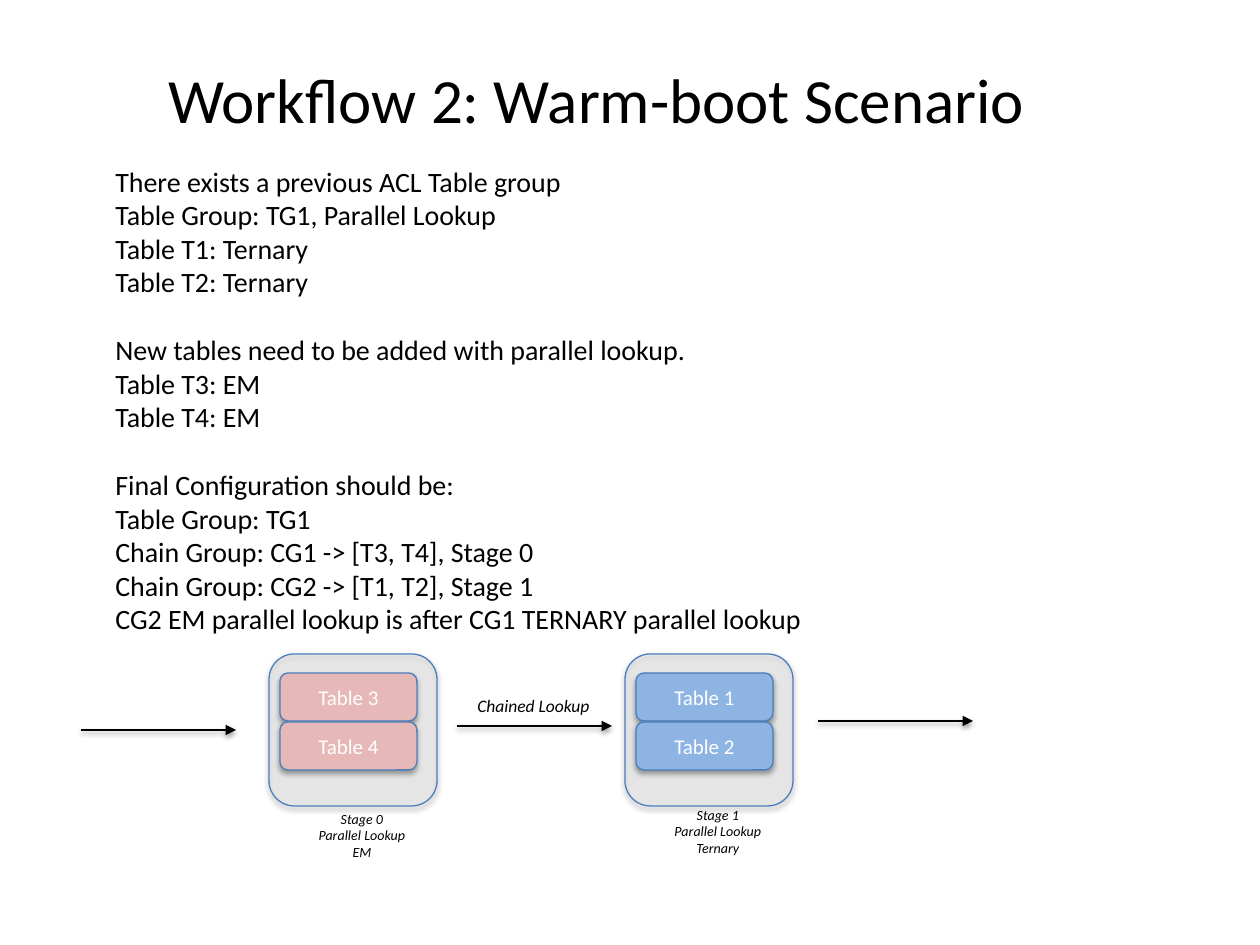
from lxml import etree
from pptx import Presentation
from pptx.dml.color import RGBColor
from pptx.enum.shapes import MSO_CONNECTOR, MSO_SHAPE
from pptx.enum.text import MSO_ANCHOR, PP_ALIGN
from pptx.oxml.ns import qn
from pptx.util import Emu, Pt

PX = 914400 // 126
LEFT, CENTER = PP_ALIGN.LEFT, PP_ALIGN.CENTER
MIDDLE = MSO_ANCHOR.MIDDLE
ROUNDED, STRAIGHT = MSO_SHAPE.ROUNDED_RECTANGLE, MSO_CONNECTOR.STRAIGHT
COLORS = {
    "black": "000000", "white": "FFFFFF", "outline": "4B7EBC",
    "stage": "D9D9D9", "exact": "E6B9B8", "ternary": "8EB4E3",
}


def write(shape, lines, size, color="black", align=LEFT, italic=False, gap_before=()):
    frame = shape.text_frame
    frame.word_wrap = True
    for i, line in enumerate(lines):
        paragraph = frame.paragraphs[0] if i == 0 else frame.add_paragraph()
        paragraph.alignment = align
        if i in gap_before:
            paragraph.space_before = Pt(19.5)
        run = paragraph.add_run()
        run.text = line
        run.font.size = Pt(size)
        run.font.name = "Calibri"
        run.font.italic = italic
        run.font.color.rgb = RGBColor.from_string(COLORS[color])


def add_shadow(shape, opacity, distance):
    properties = shape._element.spPr
    for old in properties.findall(qn("a:effectLst")):
        properties.remove(old)
    effects = etree.SubElement(properties, qn("a:effectLst"))
    shadow = etree.SubElement(effects, qn("a:outerShdw"), blurRad=str(Pt(3.1)),
                              dist=str(Pt(distance)), dir="5400000", rotWithShape="0")
    color = etree.SubElement(shadow, qn("a:srgbClr"), val=COLORS["black"])
    etree.SubElement(color, qn("a:alpha"), val=str(opacity * 1000))


prs = Presentation()
prs.slide_width, prs.slide_height = Emu(1260 * PX), Emu(945 * PX)
slide = prs.slides.add_slide(prs.slide_layouts[6])
shapes = slide.shapes

scenario = [
    "There exists a previous ACL Table group",
    "Table Group: TG1, Parallel Lookup",
    "Table T1: Ternary",
    "Table T2: Ternary",
    "New tables need to be added with parallel lookup.",
    "Table T3: EM",
    "Table T4: EM",
    "Final Configuration should be:",
    "Table Group: TG1",
    "Chain Group: CG1 -> [T3, T4], Stage 0",
    "Chain Group: CG2 -> [T1, T2], Stage 1",
    "CG2 EM parallel lookup is after CG1 TERNARY parallel lookup",
]
texts = [
    (103, 158, 1052, 522, scenario, 16, LEFT, False, (4, 7)),
    (156, 54, 954, 89, ["Workflow 2: Warm-boot Scenario"], 36, LEFT, False, ()),
    (266, 804, 192, 63, ["Stage 0", "Parallel Lookup", "EM"], 8, CENTER, True, ()),
    (622, 800, 192, 63, ["Stage 1", "Parallel Lookup", "Ternary"], 8, CENTER, True, ()),
    (465, 689, 140, 34, ["Chained Lookup"], 10, LEFT, True, ()),
]
for x, y, w, h, lines, size, align, italic, gaps in texts:
    box = shapes.add_textbox(x * PX, y * PX, w * PX, h * PX)
    write(box, lines, size, align=align, italic=italic, gap_before=gaps)

stages = [(625, "ternary", ["Table 1", "Table 2"]), (269, "exact", ["Table 3", "Table 4"])]
for stage_x, kind, tables in stages:
    blocks = [(stage_x, 654, 168, 152, "stage", None)]
    blocks += [(stage_x + 11, 673 + 49 * row, 137, 48, kind, table)
               for row, table in enumerate(tables)]
    for x, y, w, h, fill, label in blocks:
        block = shapes.add_shape(ROUNDED, x * PX, y * PX, w * PX, h * PX)
        block.fill.solid()
        block.fill.fore_color.rgb = RGBColor.from_string(COLORS[fill])
        block.line.color.rgb = RGBColor.from_string(COLORS["outline"])
        block.line.width = Pt(0.75)
        add_shadow(block, 35, 1.8)
        if label:
            block.text_frame.vertical_anchor = MIDDLE
            write(block, [label], 12, "white", CENTER)
        else:
            tint = block._element.spPr.find(qn("a:solidFill"))[0]
            etree.SubElement(tint, qn("a:alpha"), val="24000")

for x, y in [(81, 730), (457, 726), (818, 721)]:
    arrow = shapes.add_connector(STRAIGHT, x * PX, y * PX, (x + 155) * PX, y * PX)
    arrow.line.color.rgb = RGBColor.from_string(COLORS["black"])
    arrow.line.width = Pt(1)
    etree.SubElement(arrow.line._get_or_add_ln(), qn("a:tailEnd"), type="triangle")
    add_shadow(arrow, 38, 1.6)

prs.save("out.pptx")
